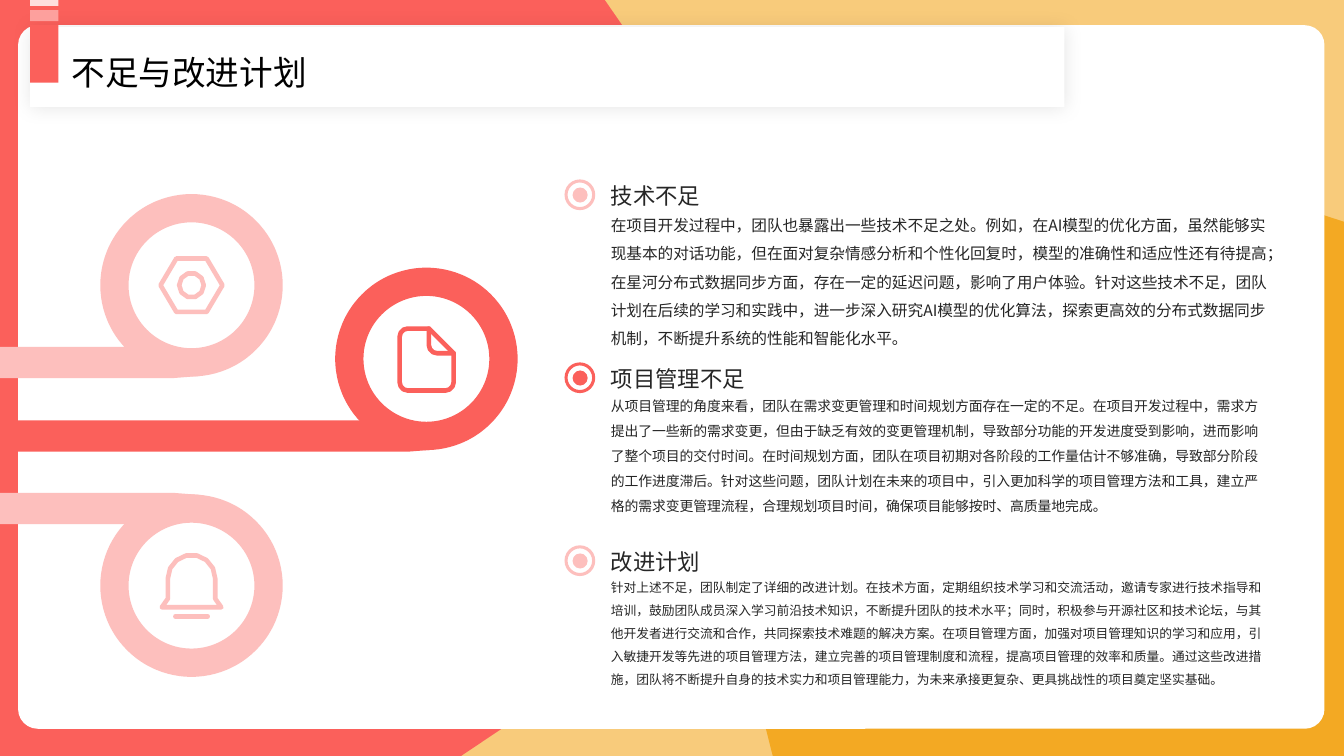
from dataclasses import dataclass
from math import asin, ceil, cos, degrees, radians, sin, sqrt

from lxml import etree
from pptx import Presentation
from pptx import util as u
from pptx.dml.color import RGBColor
from pptx.enum import shapes, text
from pptx.oxml import ns

CELL = u.Inches(0.1)  # every length below counts cells of this square grid
COLUMNS, ROWS = 133.33, 75
FONT = "Noto Sans CJK SC"
ICON_STROKE = u.Pt(3.3)
RECT = shapes.MSO_SHAPE.RECTANGLE

WHITE = RGBColor(0xFF, 0xFF, 0xFF)
BLACK = RGBColor(0x00, 0x00, 0x00)
INK = RGBColor(0x26, 0x26, 0x26)
SAND = RGBColor(0xF8, 0xCB, 0x7B)
AMBER = RGBColor(0xF3, 0xA9, 0x23)
CORAL = RGBColor(0xFB, 0x60, 0x5B)
CORAL_MID = RGBColor(0xFD, 0xA0, 0x9D)
CORAL_LIGHT = RGBColor(0xFE, 0xDF, 0xDE)
PINK = RGBColor(0xFD, 0xBF, 0xBD)

Contour = list[tuple[float, float]]


@dataclass
class Section:
    heading: str
    body: str
    body_size: float
    color: RGBColor


@dataclass
class Loop:
    x: float
    y: float
    side: int  # 1: the band leaves below the ring, -1: above it
    color: RGBColor
    icon: list[Contour]


def cells(*counts: float) -> list[int]:
    return [round(count * CELL) for count in counts]


def arc(x: float, y: float, radius: float, start: float, end: float) -> Contour:
    """Points along an arc; angles in degrees, clockwise from the right."""
    steps = max(3, ceil(abs(end - start) * sqrt(radius) / 40))
    angles = [radians(start + (end - start) * i / steps) for i in range(steps + 1)]
    return [(x + radius * cos(a), y + radius * sin(a)) for a in angles]


def moved(contour: Contour, x: float, y: float, side: int = 1) -> Contour:
    return [(x + dx, y + dy * side) for dx, dy in contour]


def paint(shape, color: RGBColor) -> None:
    shape.shadow.inherit = False
    shape.fill.solid()
    shape.fill.fore_color.rgb = color
    shape.line.fill.background()


def add_preset(slide, kind, box: tuple, color: RGBColor, adjustment=None):
    shape = slide.shapes.add_shape(kind, *cells(*box))
    paint(shape, color)
    if adjustment is not None:
        shape.adjustments[0] = adjustment
    return shape


def add_outline(slide, contours: list[Contour]):
    first, *others = [[tuple(cells(*point)) for point in c] for c in contours]
    builder = slide.shapes.build_freeform(*first[0])
    builder.add_line_segments(first[1:], close=False)
    for contour in others:
        builder.move_to(*contour[0])
        builder.add_line_segments(contour[1:], close=False)
    return builder.convert_to_shape()


def add_icon(slide, contours: list[Contour], color: RGBColor) -> None:
    icon = add_outline(slide, contours)
    icon.shadow.inherit = False
    icon.fill.background()
    icon.line.color.rgb = color
    icon.line.width = ICON_STROKE
    line = icon.element.spPr.find(ns.qn("a:ln"))
    line.set("cap", "rnd")
    etree.SubElement(line, ns.qn("a:round"))


def write(frame, words: str, size: float, color: RGBColor, spacing: float) -> None:
    frame.word_wrap = True
    frame.auto_size = text.MSO_AUTO_SIZE.NONE
    frame.text = words
    paragraph = frame.paragraphs[0]
    paragraph.alignment = text.PP_ALIGN.LEFT
    paragraph.line_spacing = spacing
    paragraph.font.name = FONT
    paragraph.font.size = u.Pt(size)
    paragraph.font.color.rgb = color
    defaults = paragraph._p.pPr.find(ns.qn("a:defRPr"))
    etree.SubElement(defaults, ns.qn("a:ea"), typeface=FONT)


def add_text(slide, box: tuple, words: str, size: float, spacing: float, anchor) -> None:
    frame = slide.shapes.add_textbox(*cells(*box)).text_frame
    frame.margin_left = frame.margin_right = frame.margin_top = frame.margin_bottom = 0
    frame.vertical_anchor = anchor
    write(frame, words, size, INK, spacing)


def add_background(slide) -> None:
    add_preset(slide, RECT, (0, 0, COLUMNS, ROWS), SAND)
    x, y, radius = 117.9, 62.3, 43.15
    start = 180 - degrees(asin((ROWS - y) / radius))
    end = 270 + degrees(asin((COLUMNS - x) / radius))
    paint(add_outline(slide, [arc(x, y, radius, start, end) + [(COLUMNS, ROWS)]]), AMBER)
    x, y, radius = 19.2, 31.1, 51.3
    edge = arc(x, y, radius, -degrees(asin(y / radius)), degrees(asin((ROWS - y) / radius)))
    paint(add_outline(slide, [[(0, 0)] + edge + [(0, ROWS)]]), CORAL)
    add_preset(slide, shapes.MSO_SHAPE.ROUNDED_RECTANGLE, (1.8, 2.5, 129.6, 69.8), WHITE, 0.028)


def add_section(slide, section: Section, top: float) -> None:
    add_text(slide, (60.6, top, 65.4, 7.2), section.heading, 16, 1.3, text.MSO_ANCHOR.BOTTOM)
    add_text(slide, (60.6, top + 7, 65.4, 11.4), section.body, section.body_size, 1.5,
             text.MSO_ANCHOR.TOP)
    add_preset(slide, shapes.MSO_SHAPE.OVAL, (56.8, top + 5.1, 1.5, 1.5), section.color)
    add_preset(slide, shapes.MSO_SHAPE.DONUT, (56, top + 4.3, 3.05, 3.05), section.color, 0.1)


def add_loop(slide, loop: Loop) -> None:
    radius = 9.05
    ring = (loop.x - radius, loop.y - radius, 2 * radius, 2 * radius)
    add_preset(slide, shapes.MSO_SHAPE.DONUT, ring, loop.color, 0.155)
    band = [(-loop.x, 6.1), (-6.6, 6.1), (0, 8), (0.8, 9), (-1.7, 9.2), (-loop.x, 9.2)]
    paint(add_outline(slide, [moved(band, loop.x, loop.y, loop.side)]), loop.color)
    add_icon(slide, [moved(c, loop.x, loop.y) for c in loop.icon], loop.color)


def add_title(slide) -> None:
    bar = add_preset(slide, RECT, (3, 2.7, 102.6, 7.9), WHITE)
    effects = bar.element.spPr.find(ns.qn("a:effectLst"))
    shadow = etree.SubElement(effects, ns.qn("a:outerShdw"), blurRad=str(u.Pt(13)), dist="0")
    black = etree.SubElement(shadow, ns.qn("a:srgbClr"), val=str(BLACK))
    etree.SubElement(black, ns.qn("a:alpha"), val="10000")
    title = slide.shapes.title
    title.left, title.top, title.width, title.height = cells(6.1, 4.2, 88.2, 5)
    title.text_frame.vertical_anchor = text.MSO_ANCHOR.TOP
    write(title.text_frame, "不足与改进计划", 24, BLACK, 1.1)
    bar.element.addnext(title.element)
    for top, height, color in ((2.5, 5.7, CORAL), (1, 1.1, CORAL_MID), (0, 0.6, CORAL_LIGHT)):
        add_preset(slide, RECT, (3, top, 2.8, height), color)


NUT = [
    [(-3.07, 0), (-1.5, -2.65), (1.5, -2.65), (3.07, 0), (1.5, 2.65), (-1.5, 2.65), (-3.07, 0)],
    arc(0, 0, 1.22, 0, 360),
]
SHEET = [
    [(0.25, -3), (2.7, -0.55)] + arc(1.9, 2.35, 0.8, 0, 90) + arc(-1.85, 2.35, 0.8, 90, 180)
    + arc(-1.85, -2.2, 0.8, 180, 270) + [(0.25, -3)],
    [(0.25, -3)] + arc(1.05, -1.35, 0.8, 180, 90) + [(2.7, -0.55)],
]
BELL = [
    [(-2.95, 2.15), (-2.35, 1.3)] + arc(0, -0.7, 2.35, 180, 360)
    + [(2.35, 1.3), (2.95, 2.15), (-2.95, 2.15)],
    [(-1.6, 3.05), (1.6, 3.05)],
]
LOOPS = [
    Loop(19, 58.1, -1, PINK, BELL),
    Loop(19, 28.3, 1, PINK, NUT),
    Loop(42.3, 35.6, 1, CORAL, SHEET),
]
SECTIONS = [
    Section("技术不足", "在项目开发过程中，团队也暴露出一些技术不足之处。例如，在AI模型的优化方面，虽然能够实现基本的对话功能，但在面对复杂情感分析和个性化回复时，模型的准确性和适应性还有待提高；在星河分布式数据同步方面，存在一定的延迟问题，影响了用户体验。针对这些技术不足，团队计划在后续的学习和实践中，进一步深入研究AI模型的优化算法，探索更高效的分布式数据同步机制，不断提升系统的性能和智能化水平。", 11.2, PINK),
    Section("项目管理不足", "从项目管理的角度来看，团队在需求变更管理和时间规划方面存在一定的不足。在项目开发过程中，需求方提出了一些新的需求变更，但由于缺乏有效的变更管理机制，导致部分功能的开发进度受到影响，进而影响了整个项目的交付时间。在时间规划方面，团队在项目初期对各阶段的工作量估计不够准确，导致部分阶段的工作进度滞后。针对这些问题，团队计划在未来的项目中，引入更加科学的项目管理方法和工具，建立严格的需求变更管理流程，合理规划项目时间，确保项目能够按时、高质量地完成。", 9.9, CORAL),
    Section("改进计划", "针对上述不足，团队制定了详细的改进计划。在技术方面，定期组织技术学习和交流活动，邀请专家进行技术指导和培训，鼓励团队成员深入学习前沿技术知识，不断提升团队的技术水平；同时，积极参与开源社区和技术论坛，与其他开发者进行交流和合作，共同探索技术难题的解决方案。在项目管理方面，加强对项目管理知识的学习和应用，引入敏捷开发等先进的项目管理方法，建立完善的项目管理制度和流程，提高项目管理的效率和质量。通过这些改进措施，团队将不断提升自身的技术实力和项目管理能力，为未来承接更复杂、更具挑战性的项目奠定坚实基础。", 9.1, PINK),
]


def main() -> None:
    presentation = Presentation()
    presentation.slide_width, presentation.slide_height = cells(COLUMNS, ROWS)
    slide = presentation.slides.add_slide(presentation.slide_layouts[5])
    add_background(slide)
    for index, section in enumerate(SECTIONS):
        add_section(slide, section, 13.5 + 18.15 * index)
    for loop in LOOPS:
        add_loop(slide, loop)
    add_title(slide)
    presentation.save("out.pptx")


if __name__ == "__main__":
    main()
